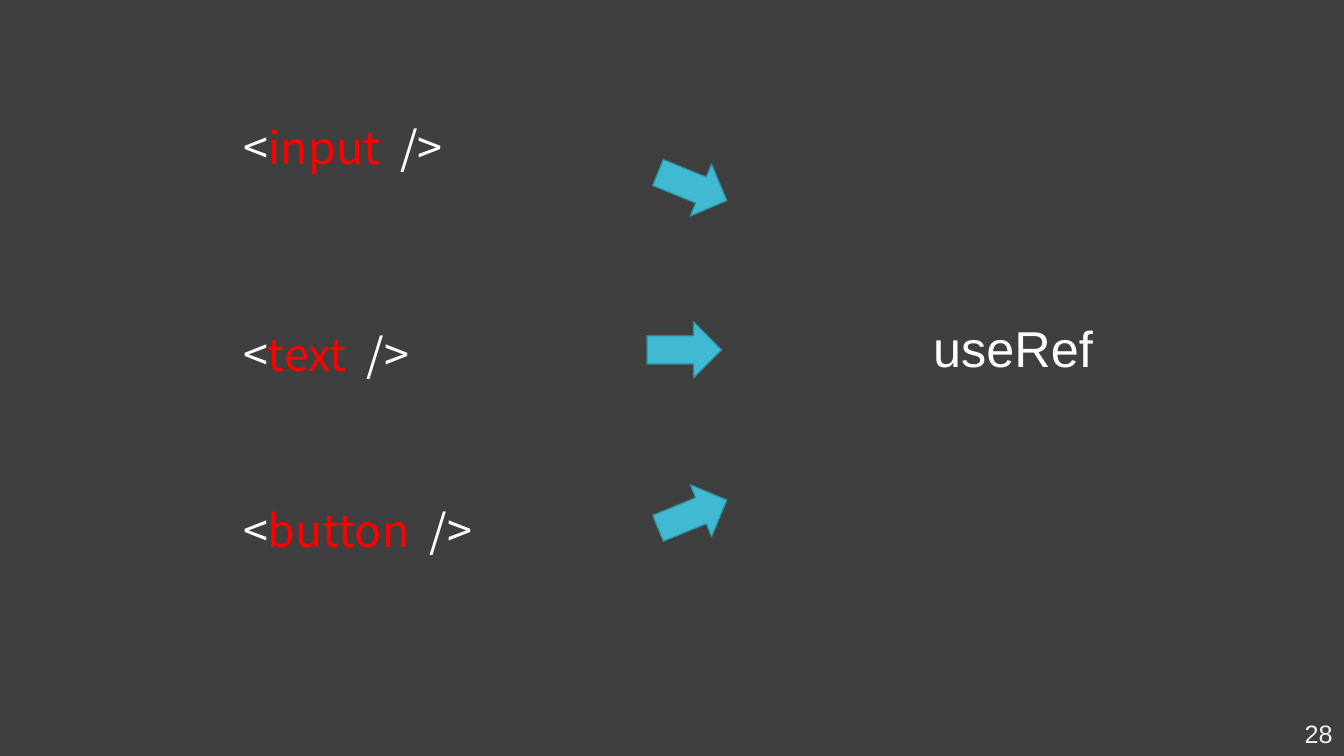
from pptx import Presentation
from pptx.dml.color import RGBColor
from pptx.enum.shapes import MSO_SHAPE
from pptx.enum.text import MSO_ANCHOR, PP_ALIGN
from pptx.util import Pt

DOWN_ARROW = MSO_SHAPE.DOWN_ARROW
MIDDLE, BOTTOM = MSO_ANCHOR.MIDDLE, MSO_ANCHOR.BOTTOM
LEFT, RIGHT = PP_ALIGN.LEFT, PP_ALIGN.RIGHT

BACKGROUND = RGBColor(0x3F, 0x3F, 0x3F)
WHITE = RGBColor(0xFF, 0xFF, 0xFF)
PALE_GREY = RGBColor(0xF2, 0xF2, 0xF2)
RED = RGBColor(0xFF, 0x00, 0x00)
ARROW_FILL = RGBColor(0x40, 0xBA, 0xD2)
ARROW_LINE = RGBColor(0x2F, 0x8A, 0x9B)

BODY_FONT = "Arial"
TAG_FONT = "Noto Sans CJK SC"

presentation = Presentation()
presentation.slide_width = Pt(960)
presentation.slide_height = Pt(540)
slide = presentation.slides.add_slide(presentation.slide_layouts[6])
slide.background.fill.solid()
slide.background.fill.fore_color.rgb = BACKGROUND


def add_text(box, runs, font, size, anchor=MIDDLE, alignment=LEFT, wrap=True):
    left, top, width, height = box
    shape = slide.shapes.add_textbox(Pt(left), Pt(top), Pt(width), Pt(height))
    frame = shape.text_frame
    frame.word_wrap = wrap
    frame.vertical_anchor = anchor
    paragraph = frame.paragraphs[0]
    paragraph.alignment = alignment
    for text, color in runs:
        run = paragraph.add_run()
        run.text = text
        run.font.name = font
        run.font.size = Pt(size)
        run.font.color.rgb = color


add_text((838.8, 509.8, 120.2, 28.8), [("28", PALE_GREY)], BODY_FONT, 18, alignment=RIGHT)
add_text((659.5, 221.8, 128.2, 51.1), [("useRef", WHITE)], BODY_FONT, 36, anchor=BOTTOM, wrap=False)

for left, top, rotation in [(474.5, 106.6, 292.2), (468.7, 223.2, 270), (474.5, 340.6, 247.7)]:
    arrow = slide.shapes.add_shape(DOWN_ARROW, Pt(left), Pt(top), Pt(40.3), Pt(53.3))
    arrow.rotation = rotation
    arrow.shadow.inherit = False
    arrow.fill.solid()
    arrow.fill.fore_color.rgb = ARROW_FILL
    arrow.line.color.rgb = ARROW_LINE
    arrow.line.width = Pt(0.85)

for tag, left, top in [("input", 167, 81.4), ("text", 166.5, 229.7), ("button", 166.5, 355)]:
    runs = [("<", WHITE), (tag, RED), ("  />", WHITE)]
    add_text((left, top, 267.8, 46.1), runs, TAG_FONT, 32)

presentation.save("out.pptx")
